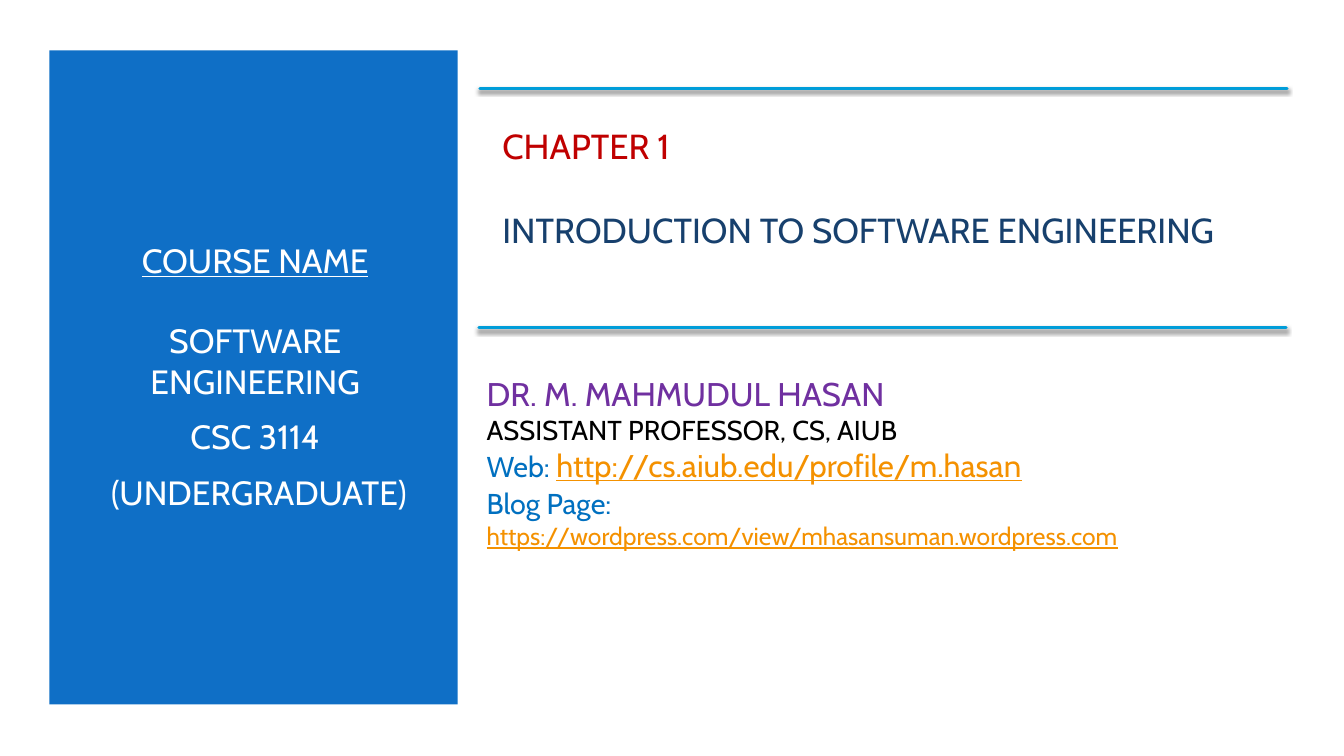
from lxml import etree
from pptx import Presentation
from pptx.dml.color import RGBColor
from pptx.enum.shapes import MSO_CONNECTOR as Link, MSO_SHAPE as Shape
from pptx.enum.text import MSO_ANCHOR as Anchor, PP_ALIGN as Align
from pptx.util import Pt

PX = 9525
SHADOW = (
    '<a:effectLst xmlns:a="http://schemas.openxmlformats.org/drawingml/2006/main">'
    '<a:outerShdw blurRad="38100" dist="25400" dir="5400000" rotWithShape="0">'
    '<a:srgbClr val="000000"><a:alpha val="55000"/></a:srgbClr>'
    '</a:outerShdw></a:effectLst>'
)


def paint(target, color):
    target.rgb = RGBColor.from_string(color)


def style(font, size, color, under=False):
    font.name = "Cabin"
    font.size = Pt(size)
    paint(font.color, color)
    if under:
        font.underline = True


def add_text(slide, box, paras, align=Align.LEFT):
    frame = slide.shapes.add_textbox(*(v * PX for v in box)).text_frame
    frame.word_wrap = True
    frame.vertical_anchor = Anchor.MIDDLE
    for i, (gap, *runs) in enumerate(paras):
        para = frame.paragraphs[0] if i == 0 else frame.add_paragraph()
        para.alignment = align
        if gap:
            para.space_before = Pt(gap)
        for text, *look in runs:
            run = para.add_run()
            run.text = text
            style(para.font if len(runs) == 1 else run.font, *look)


def add_course(slide, x, y, w, h):
    panel = slide.shapes.add_shape(Shape.RECTANGLE, *(v * PX for v in (x, y, w, h)))
    panel.shadow.inherit = False
    panel.fill.solid()
    paint(panel.fill.fore_color, "0F6FC6")
    panel.line.fill.background()
    white = (24, "FFFFFF")
    add_text(slide, (x + 34, y + 58, w - 65, h - 119), [
        (0, ("COURSE NAME", *white, True)),
        (29, ("SOFTWARE ENGINEERING", *white)),
        (11, ("CSC 3114", *white)),
        (11, (" (UNDERGRADUATE)", *white)),
    ], Align.CENTER)


def add_rule(slide, x, y, w):
    rule = slide.shapes.add_connector(
        Link.STRAIGHT, x * PX, y * PX, (x + w) * PX, y * PX)
    paint(rule.line.color, "009DD9")
    rule.line.width = Pt(2)
    rule.line._get_or_add_ln().set("cap", "rnd")
    rule._element.spPr.append(etree.fromstring(SHADOW))


def add_title(slide, x, y, w, h):
    for left, top in ((x + 1, y), (x, y + h)):
        add_rule(slide, left, top, w)
    add_text(slide, (x + 13, y + 22, w - 15, 145), [
        (0, ("CHAPTER 1", 24.8, "C00000")),
        (30, ("INTRODUCTION TO SOFTWARE ENGINEERING", 24.8, "17406D")),
    ])


def add_author(slide, *box):
    blue, gold = "0070C0", "F49100"
    add_text(slide, box, [
        (0, ("DR. M. MAHMUDUL HASAN", 23.4, "7030A0")),
        (0, ("ASSISTANT PROFESSOR, CS, AIUB", 19.5, "000000")),
        (0, ("Web: ", 20.5, blue),
         ("http://cs.aiub.edu/profile/m.hasan", 22.4, gold, True)),
        (2, ("Blog Page:", 20.5, blue)),
        (0, ("https://wordpress.com/view/mhasansuman.wordpress.com",
             17.6, gold, True)),
    ])


def main():
    deck = Presentation()
    deck.slide_width, deck.slide_height = 1280 * PX, 720 * PX
    slide = deck.slides.add_slide(deck.slide_layouts[6])
    add_course(slide, 47, 48, 389, 623)
    add_title(slide, 456, 84, 769, 228)
    add_author(slide, 454, 365, 751, 150)
    deck.save("out.pptx")


if __name__ == "__main__":
    main()
